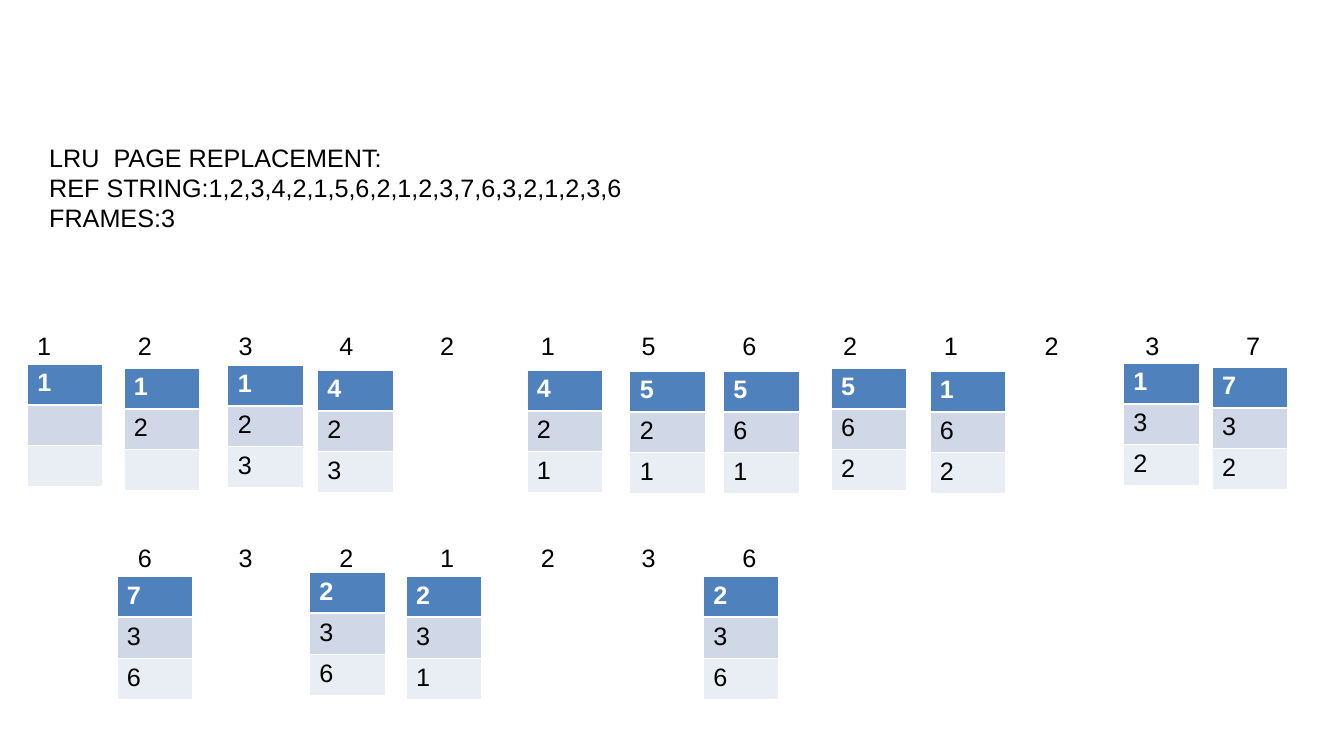
from lxml.etree import SubElement
from pptx import Presentation
from pptx.dml.color import RGBColor
from pptx.oxml import parse_xml
from pptx.oxml.ns import nsdecls, qn
from pptx.util import Inches, Pt

BLACK = RGBColor(0x00, 0x00, 0x00)
WHITE = RGBColor(0xFF, 0xFF, 0xFF)
FRAME_FILLS = (
    RGBColor(0x4F, 0x81, 0xBD),
    RGBColor(0xD0, 0xD8, 0xE8),
    RGBColor(0xE9, 0xED, 0xF4),
)
THIN, THICK = Pt(0.45), Pt(1.47)

STEP = Inches(1)
FRAME_WIDTH, FRAME_HEIGHT = Inches(0.75), Inches(0.405)
LEFT = Inches(0.27)
TRACE_WIDTH, LABEL_HEIGHT = Inches(13.06), Inches(0.4)

PROBLEM = (
    "LRU  PAGE REPLACEMENT:",
    "REF STRING:1,2,3,4,2,1,5,6,2,1,2,3,7,6,3,2,1,2,3,6",
    "FRAMES:3",
)

# Each state: step column, shift from the column, drop below the label, pages
FIRST_REFERENCES = "1\t2\t3\t4\t2\t1\t5\t6\t2\t1\t2\t3\t7"
FIRST_STATES = (
    (0, 0, 0.38, ("1", "", "")),
    (1, -0.04, 0.42, ("1", "2", "")),
    (2, -0.01, 0.39, ("1", "2", "3")),
    (3, -0.12, 0.44, ("4", "2", "3")),
    (5, -0.04, 0.44, ("4", "2", "1")),
    (6, -0.02, 0.45, ("5", "2", "1")),
    (7, -0.09, 0.45, ("5", "6", "1")),
    (8, -0.02, 0.42, ("5", "6", "2")),
    (9, -0.04, 0.45, ("1", "6", "2")),
    (11, -0.12, 0.37, ("1", "3", "2")),
    (12, -0.24, 0.41, ("7", "3", "2")),
)
SECOND_REFERENCES = "\t6\t3\t2\t1\t2\t3\t6"
SECOND_STATES = (
    (1, -0.11, 0.39, ("7", "3", "6")),
    (3, -0.20, 0.35, ("2", "3", "6")),
    (4, -0.24, 0.39, ("2", "3", "1")),
    (7, -0.29, 0.39, ("2", "3", "6")),
)


def style_paragraph(paragraph, color=BLACK, bold=False):
    font = paragraph.font
    for target in (font, *(run.font for run in paragraph.runs)):
        target.name = "Arial"
        target.size = Pt(18)
        target.bold = bold
        target.color.rgb = color


def add_text(slide, left, top, width, height, lines):
    frame = slide.shapes.add_textbox(left, top, width, height).text_frame
    frame.word_wrap = True
    frame.text = "\n".join(lines)
    for paragraph in frame.paragraphs:
        tab_stops = SubElement(paragraph._p.get_or_add_pPr(), qn("a:tabLst"))
        for step in range(1, lines[0].count("\t") + 1):
            SubElement(tab_stops, qn("a:tab"), pos=str(step * STEP), algn="l")
        style_paragraph(paragraph)


def set_borders(cell, top, bottom):
    """Draw white cell edges; the side edges are thin."""
    properties = cell._tc.get_or_add_tcPr()
    edges = (("lnL", THIN), ("lnR", THIN), ("lnT", top), ("lnB", bottom))
    for index, (edge, width) in enumerate(edges):
        properties.insert(index, parse_xml(
            f'<a:{edge} {nsdecls("a")} w="{int(width)}"><a:solidFill>'
            f'<a:srgbClr val="{WHITE}"/></a:solidFill></a:{edge}>'))


def add_frames(slide, left, top, pages):
    """Place one memory state, with one page in each frame."""
    table = slide.shapes.add_table(
        len(pages), 1, left, top, FRAME_WIDTH, FRAME_HEIGHT * len(pages)).table
    for index, (page, fill) in enumerate(zip(pages, FRAME_FILLS)):
        table.rows[index].height = FRAME_HEIGHT
        cell = table.cell(index, 0)
        cell.text = page
        cell.fill.solid()
        cell.fill.fore_color.rgb = fill
        is_head = index == 0
        set_borders(cell, THICK if index == 1 else THIN,
                    THICK if is_head else THIN)
        style_paragraph(cell.text_frame.paragraphs[0],
                        WHITE if is_head else BLACK, is_head)


def add_trace(slide, left, top, references, states):
    """Place a row of page references with the memory states below it."""
    add_text(slide, left, top, TRACE_WIDTH, LABEL_HEIGHT, (references,))
    for column, shift, drop, pages in states:
        add_frames(slide, left + column * STEP + Inches(shift),
                   top + Inches(drop), pages)


def main():
    deck = Presentation()
    deck.slide_width, deck.slide_height = Inches(13.34), Inches(7.5)
    slide = deck.slides.add_slide(deck.slide_layouts[6])
    add_text(slide, Inches(0.39), Inches(1.36), Inches(11.99), Inches(1.13),
             PROBLEM)
    add_trace(slide, LEFT, Inches(3.23), FIRST_REFERENCES, FIRST_STATES)
    add_trace(slide, LEFT, Inches(5.33), SECOND_REFERENCES, SECOND_STATES)
    deck.save("out.pptx")


if __name__ == "__main__":
    main()
